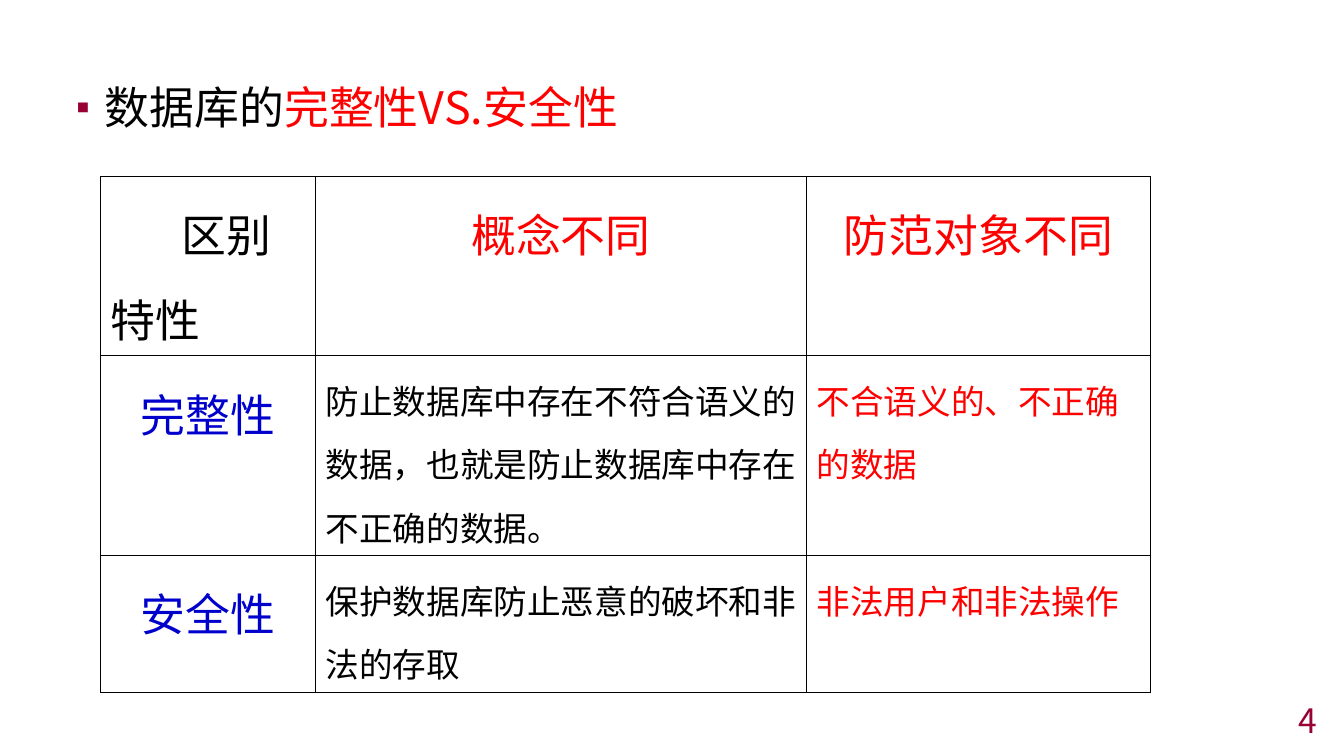
"""Build a slide comparing database integrity with database security."""
from dataclasses import dataclass

from lxml import etree
from pptx import Presentation
from pptx import util as u
from pptx.dml.color import RGBColor
from pptx.enum import text
from pptx.oxml import ns


@dataclass(frozen=True)
class Theme:
    """Colours, type sizes and spacing of the slide."""
    font: str = "Noto Sans CJK SC"
    ink: str = "000000"
    accent: str = "FF0000"
    label: str = "0000CC"
    mark: str = "990033"
    large: int = 32
    small: int = 24
    spacing: float = 1.3


T = Theme()
LEFT, CENTER, RIGHT = text.PP_ALIGN.LEFT, text.PP_ALIGN.CENTER, text.PP_ALIGN.RIGHT


def add_xml(parent, tag, **attrs):
    """Append a drawing element with the given attributes."""
    return etree.SubElement(parent, ns.qn(tag), attrs)


def style_run(r, size, color):
    """Set the font, size and colour of a run."""
    r.font.name = T.font
    r.font.size = u.Pt(size)
    r.font.color.rgb = RGBColor.from_string(color)
    add_xml(r.font._element, "a:ea", typeface=T.font)


def style_paragraph(p, size, color, align=LEFT):
    """Set the alignment and spacing of a paragraph and format its runs."""
    p.alignment = align
    p.line_spacing = T.spacing
    for r in p.runs:
        style_run(r, size, color)


def indent(p, left, first=0):
    """Set the left margin and first-line indent of a paragraph."""
    pPr = p._p.get_or_add_pPr()
    pPr.set("marL", str(u.Inches(left)))
    pPr.set("indent", str(u.Inches(first)))
    return pPr


def add_text_box(slide, left, top, width, height):
    """Add a wrapping text box and return its text frame."""
    box = slide.shapes.add_textbox(*map(u.Inches, (left, top, width, height)))
    tf = box.text_frame
    tf.word_wrap = True
    return tf


def add_bullet_line(slide, parts):
    """Add the bulleted heading from pairs of words and colour."""
    tf = add_text_box(slide, 0.65, 0.58, 12.04, 6.56)
    tf.margin_left = 0
    p = tf.paragraphs[0]
    p.line_spacing = T.spacing
    p.space_before = u.Pt(0.2 * T.large)
    pPr = indent(p, 0.39, -0.39)
    add_xml(add_xml(pPr, "a:buClr"), "a:srgbClr", val=T.mark)
    add_xml(pPr, "a:buSzPct", val="80000")
    add_xml(pPr, "a:buFont", typeface=T.font)
    add_xml(pPr, "a:buChar", char="▪")
    for words, color in parts:
        r = p.add_run()
        r.text = words
        style_run(r, T.large, color)


def add_page_number(slide, number):
    """Add the page number at the lower right."""
    tf = add_text_box(slide, 10.33, 6.99, 2.83, 0.31)
    tf.vertical_anchor = text.MSO_ANCHOR.MIDDLE
    p = tf.paragraphs[0]
    p.text = str(number)
    p.alignment = RIGHT
    style_run(p.runs[0], T.small, T.mark)


def add_borders(cell):
    """Draw a thin line on each side of a cell."""
    tcPr = cell._tc.get_or_add_tcPr()
    for i, side in enumerate(("a:lnL", "a:lnR", "a:lnT", "a:lnB")):
        ln = etree.Element(ns.qn(side), w=str(u.Pt(1)))
        add_xml(add_xml(ln, "a:solidFill"), "a:srgbClr", val=T.ink)
        tcPr.insert(i, ln)


def add_comparison(slide, rows, widths, heights):
    """Add the bordered table from rows of words, size, colour and alignment."""
    frame = slide.shapes.add_table(
        len(rows), len(widths), u.Inches(1), u.Inches(1.75),
        u.Inches(sum(widths)), u.Inches(sum(heights)))
    table = frame.table
    table.first_row = table.horz_banding = False
    for column, width in zip(table.columns, widths):
        column.width = u.Inches(width)
    for row, height, contents in zip(table.rows, heights, rows):
        row.height = u.Inches(height)
        for cell, (words, size, color, align) in zip(row.cells, contents):
            cell.fill.background()
            add_borders(cell)
            cell.text_frame.text = words
            for p in cell.text_frame.paragraphs:
                style_paragraph(p, size, color, align)
    indent(table.cell(0, 0).text_frame.paragraphs[0], 0.7)


def comparison_row(name, concept, target):
    """Return the cells of one property row."""
    return [(name, T.large, T.label, CENTER),
            (concept, T.small, T.ink, LEFT),
            (target, T.small, T.accent, LEFT)]


def main():
    """Build and save the slide."""
    prs = Presentation()
    prs.slide_width, prs.slide_height = u.Inches(13.33), u.Inches(7.5)
    s = prs.slides.add_slide(prs.slide_layouts[6])
    add_bullet_line(s, [("数据库的", T.ink), ("完整性VS.安全性", T.accent)])
    add_page_number(s, 4)
    rows = [
        [("区别\n特性", T.large, T.ink, LEFT),
         ("概念不同", T.large, T.accent, CENTER),
         ("防范对象不同", T.large, T.accent, CENTER)],
        comparison_row("完整性",
                       "防止数据库中存在不符合语义的数据，也就是防止数据库中存在不正确的数据。",
                       "不合语义的、不正确的数据"),
        comparison_row("安全性", "保护数据库防止恶意的破坏和非法的存取",
                       "非法用户和非法操作"),
    ]
    add_comparison(s, rows, (2.13, 4.87, 3.41), (1.78, 1.98, 1.36))
    prs.save("out.pptx")


if __name__ == "__main__":
    main()
